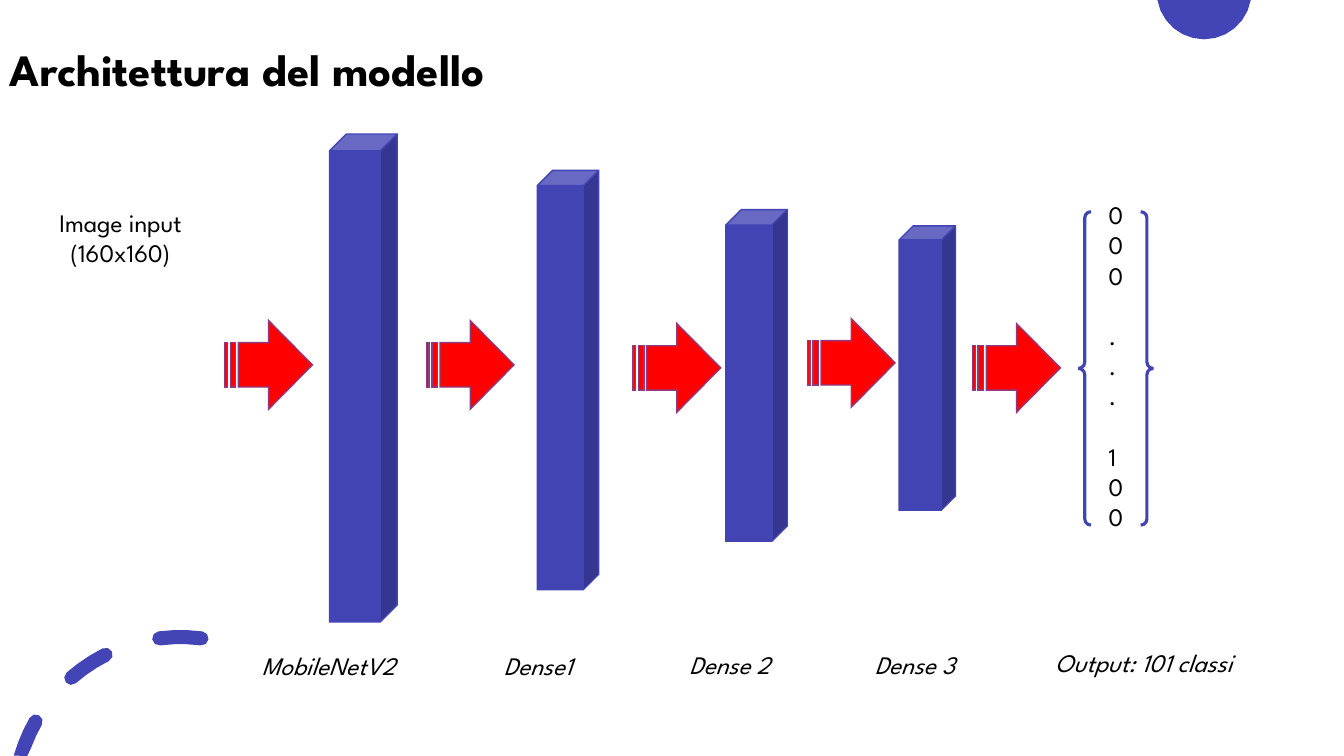
from math import cos, radians, sin

from lxml.etree import SubElement
from pptx import Presentation
from pptx.dml.color import RGBColor
from pptx.enum.shapes import MSO_SHAPE as SHAPE
from pptx.enum.text import MSO_ANCHOR as ANCHOR, PP_ALIGN as ALIGN
from pptx.oxml.ns import qn
from pptx.util import Inches, Pt

# The grid has ten columns and ten rows to the inch
COLS, ROWS = 133.33, 75
FONT = "League Spartan"
BLUE, RED, PURPLE, BLACK = "4344B4", "FF0000", "90397C", "000000"
DECOR = "4344B5"

# left, top, width, height of each layer
LAYERS = [(32.7, 13.3, 6.7, 48.4), (53.3, 16.9, 6.1, 41.6),
          (72, 20.8, 6.1, 32.9), (89.2, 22.4, 5.6, 28.2)]
# left, top of each arrow
ARROWS = [(22.3, 31.8), (42.3, 31.8), (62.8, 32.1), (80.1, 31.6), (96.5, 32.1)]
# text, left, top, width of each caption
CAPTIONS = [("MobileNetV2", 25, 64, 20.5), ("Dense1", 49, 64, 17),
            ("Dense 2", 67.4, 63.9, 17), ("Dense 3", 85.8, 63.9, 12.3),
            ("Output: 101 classi", 103.7, 63.7, 26.9)]
OUTPUT_GROUPS = ["000", "...", "100"]
# start and end angle of each dash of the ring
DASHES = [(-7.3, 7.3), (26.7, 41), (60.5, 74)]


def cells(n):
    return Inches(n / 10)


def rgb(color):
    return RGBColor.from_string(color)


def paint(sp, fill, line, width=1):
    sp.shadow.inherit = False
    if fill:
        sp.fill.solid()
        sp.fill.fore_color.rgb = rgb(fill)
    else:
        sp.fill.background()
    if line:
        sp.line.color.rgb = rgb(line)
        sp.line.width = Pt(width)
        # Sharp corners
        ln = sp.element.spPr.find(qn("a:ln"))
        SubElement(ln, qn("a:miter")).set("lim", "800000")
    else:
        sp.line.fill.background()


def add_preset(s, kind, box, fill, line, width=1):
    sp = s.shapes.add_shape(kind, *map(cells, box))
    paint(sp, fill, line, width)


def add_text(s, lines, box, size=18, anchor=ANCHOR.TOP, para=None, **style):
    """Write one paragraph for each (text, space before) pair."""
    tf = s.shapes.add_textbox(*map(cells, box)).text_frame
    tf.word_wrap = True
    tf.vertical_anchor = anchor
    for i, (text, before) in enumerate(lines):
        p = tf.paragraphs[0] if i == 0 else tf.add_paragraph()
        for key, value in {"space_before": Pt(before), **(para or {})}.items():
            setattr(p, key, value)
        r = p.add_run()
        r.text = text
        for key, value in {"name": FONT, "size": Pt(size), **style}.items():
            setattr(r.font, key, value)
        r.font.color.rgb = rgb(BLACK)


def arc(cx, cy, radius, start, end, steps):
    """Points along an arc; angles run anticlockwise from the top."""
    angles = [radians(start + (end - start) * i / steps) for i in range(steps + 1)]
    return [(cx - radius * sin(a), cy - radius * cos(a)) for a in angles]


def add_outlines(s, outlines):
    """Fill outlines as one shape, cut off at the slide's edges."""
    builder = None
    for points in outlines:
        first, *rest = [(cells(x), cells(min(max(y, 0), ROWS))) for x, y in points]
        if builder:
            builder.move_to(*first)
        else:
            builder = s.shapes.build_freeform(*first)
        builder.add_line_segments(rest, close=True)
    paint(builder.convert_to_shape(), DECOR, None)


def dash(start, end, cx=17.9, cy=79.7, radius=16.5, half=0.7):
    """Outline of a piece of the ring, round-ended within the slide."""
    (sx, sy), (ex, ey) = arc(cx, cy, radius, start, end, 1)
    end_cap = arc(ex, ey, half, end, end + 180, 4)[1:-1] if ey < ROWS else []
    return (arc(cx, cy, radius + half, start, end, 3) + end_cap
            + arc(cx, cy, radius - half, end, start, 3)
            + arc(sx, sy, half, start + 180, start + 360, 4)[1:-1])


def main():
    prs = Presentation()
    prs.slide_width, prs.slide_height = cells(COLS), cells(ROWS)
    s = prs.slides.add_slide(prs.slide_layouts[6])

    # Corner decorations
    add_outlines(s, [arc(119.45, -0.8, 4.7, 99.8, 260.2, 12)])
    add_outlines(s, [dash(start, end) for start, end in DASHES])

    # Title and input
    add_text(s, [("Architettura del modello", 0)], (0, -0.1, 115, 14.5), 32,
             ANCHOR.MIDDLE, {"line_spacing": 0.9}, bold=True)
    add_text(s, [("Image input (160x160)", 0)], (3, 20.1, 17.9, 7.1),
             para={"alignment": ALIGN.CENTER})

    # Network layers and the flow between them
    for box in LAYERS:
        add_preset(s, SHAPE.CUBE, box, BLUE, BLUE)
    for left, top in ARROWS:
        add_preset(s, SHAPE.STRIPED_RIGHT_ARROW, (left, top, 8.7, 8.8), RED, PURPLE)

    # Output vector, with one line's gap between groups
    add_preset(s, SHAPE.DOUBLE_BRACE, (107, 21, 7.4, 31.1), None, BLUE, 2.25)
    vector = [(digit, 21.5 if g and not i else 0)
              for g, group in enumerate(OUTPUT_GROUPS)
              for i, digit in enumerate(group)]
    add_text(s, vector, (109, 19.3, 3.4, 34.3))

    # Captions
    for text, left, top, width in CAPTIONS:
        add_text(s, [(text, 0)], (left, top, width, 4), italic=True)

    prs.save("out.pptx")


if __name__ == "__main__":
    main()
